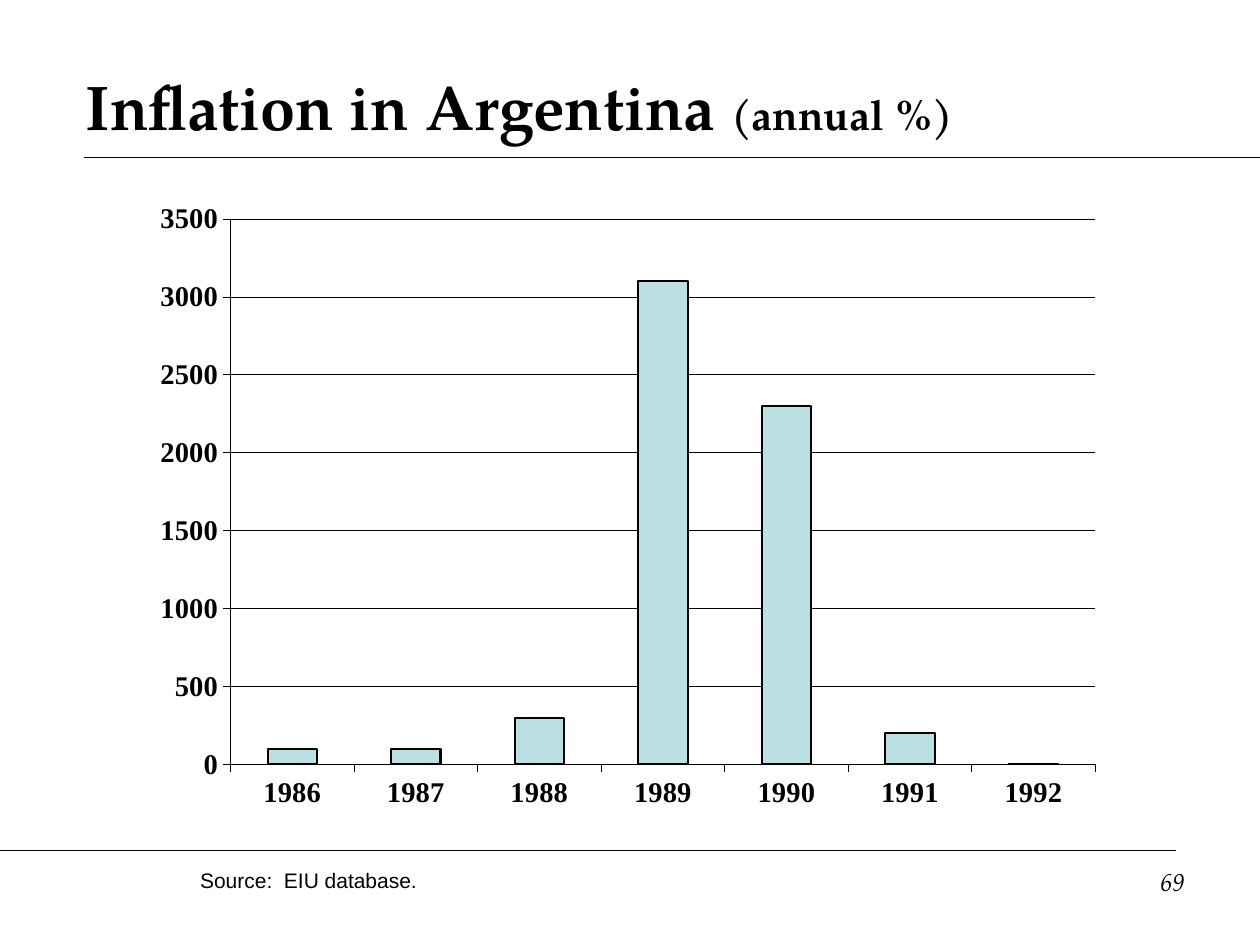
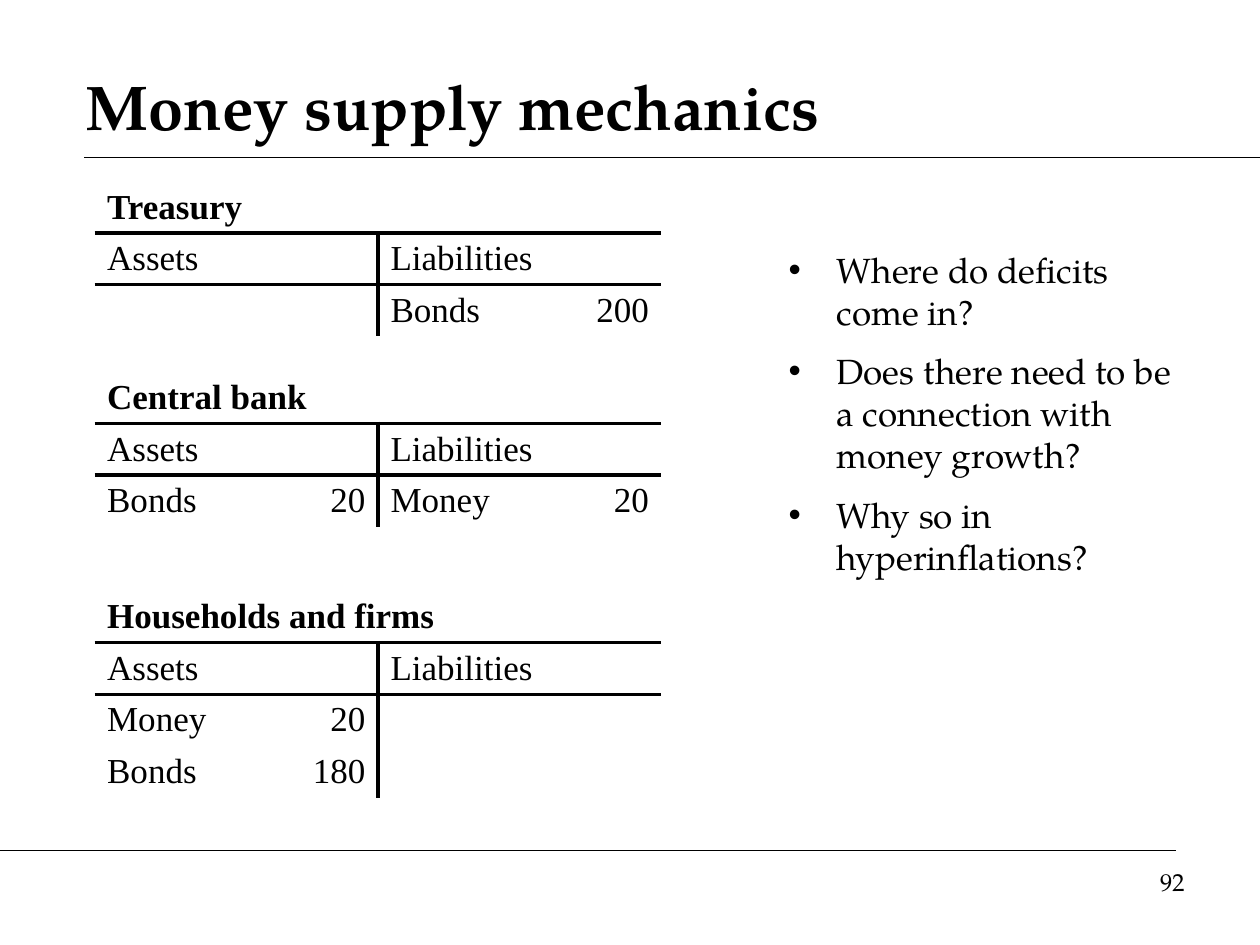
from lxml import etree
from pptx import Presentation
from pptx.chart.data import CategoryChartData
from pptx.dml.color import RGBColor
from pptx.enum import chart as charts, shapes, text
from pptx.oxml import parse_xml
from pptx.oxml.ns import nsdecls, qn
from pptx.util import Inches, Pt

SERIF = "TeX Gyre Pagella"
TABLE_FONT = "Times New Roman"
BLACK = "000000"
BAR_FILL = "BBE0E3"
NO_TABLE_STYLE = "{2D5ABB26-0587-4C30-8999-92F81FD0307C}"


def style_font(font, size, name, bold=False, italic=False, color=BLACK):
    font.size, font.name, font.bold, font.italic = Pt(size), name, bold, italic
    font.color.rgb = RGBColor.from_string(color)


def add_run(paragraph, words, size, name, bold=False, italic=False):
    run = paragraph.add_run()
    run.text = words
    style_font(run.font, size, name, bold, italic)


presentation = Presentation()
presentation.slide_width, presentation.slide_height = Inches(10), Inches(7.5)
master = presentation.slide_master
title_only, title_and_content = presentation.slide_layouts[5], presentation.slide_layouts[1]

# Titles and page numbers
pages = [
    (title_only, [("Inflation in Argentina ", 36), ("(annual %)", 24)], "69", True),
    (title_and_content, [("Money supply mechanics", 36)], "92", False),
]
slides = []
for layout, title_runs, number, italic in pages:
    slide = presentation.slides.add_slide(layout)
    slides.append(slide)
    title = slide.shapes.title
    title.left, title.top, title.width, title.height = map(Inches, (0.58, 0.42, 8.67, 0.83))
    title.text_frame.vertical_anchor = text.MSO_ANCHOR.MIDDLE
    title.text_frame.auto_size = text.MSO_AUTO_SIZE.NONE
    paragraph = title.text_frame.paragraphs[0]
    paragraph.alignment = text.PP_ALIGN.LEFT
    for words, size in title_runs:
        add_run(paragraph, words, size, SERIF, bold=True)

    number_box = slide.shapes.add_textbox(*map(Inches, (7.17, 6.83, 2.33, 0.52)))
    number_box.text_frame.word_wrap = True
    paragraph = number_box.text_frame.paragraphs[0]
    paragraph.alignment = text.PP_ALIGN.RIGHT
    add_run(paragraph, number, 14, SERIF, italic=italic)
inflation_slide, money_slide = slides

# Rules under the title and above the footer, kept on the master
for rule_id, (start, end, y) in enumerate([(0.67, 10, 1.25), (0, 9.33, 6.75)], 101):
    rule = inflation_slide.shapes.add_connector(
        shapes.MSO_CONNECTOR.STRAIGHT, Inches(start), Inches(y), Inches(end), Inches(y))
    rule.line.color.rgb = RGBColor.from_string(BLACK)
    rule.line.width = Pt(0.75)
    etree.SubElement(rule.element.spPr, qn("a:effectLst"))
    rule.element.xpath(".//p:cNvPr")[0].set("id", str(rule_id))
    master.shapes.element.append(rule.element)

# Inflation chart
chart_data = CategoryChartData()
chart_data.categories = [str(year) for year in range(1986, 1993)]
chart_data.add_series("Inflation", [100, 100, 300, 3100, 2300, 200, 0])
chart = inflation_slide.shapes.add_chart(
    charts.XL_CHART_TYPE.COLUMN_CLUSTERED,
    *map(Inches, (1.14, 1.55, 7.66, 5.07)), chart_data).chart
chart.has_legend = False
chart.has_title = False
style_font(chart.font, 16.3, TABLE_FONT, bold=True)

value_axis, category_axis = chart.value_axis, chart.category_axis
value_axis.minimum_scale, value_axis.maximum_scale, value_axis.major_unit = 0, 3500, 500
value_axis.has_major_gridlines = True
value_axis.tick_labels.number_format = "0"
value_axis.tick_labels.number_format_is_linked = False
category_axis.tick_label_position = charts.XL_TICK_LABEL_POSITION.LOW
for axis in (value_axis, category_axis):
    axis.major_tick_mark = charts.XL_TICK_MARK.OUTSIDE
for line in (value_axis.format.line, category_axis.format.line,
             value_axis.major_gridlines.format.line):
    line.color.rgb = RGBColor.from_string(BLACK)
    line.width = Pt(0.29)

plot = chart.plots[0]
plot.gap_width = 150
plot.vary_by_categories = False
bars = plot.series[0]
bars.format.fill.solid()
bars.format.fill.fore_color.rgb = RGBColor.from_string(BAR_FILL)
bars.format.line.color.rgb = RGBColor.from_string(BLACK)
bars.format.line.width = Pt(1.17)

plot_area = chart.element.chart.plotArea
for old_layout in plot_area.findall(qn("c:layout")):
    plot_area.remove(old_layout)
plot_area.insert(0, parse_xml(
    f'<c:layout {nsdecls("c")}><c:manualLayout><c:layoutTarget val="inner"/>'
    '<c:xMode val="edge"/><c:yMode val="edge"/><c:x val="0.09"/><c:y val="0.037"/>'
    '<c:w val="0.896"/><c:h val="0.854"/></c:manualLayout></c:layout>'))

source_box = inflation_slide.shapes.add_textbox(*map(Inches, (1.49, 6.84, 6.83, 0.3)))
source_box.text_frame.word_wrap = True
add_run(source_box.text_frame.paragraphs[0], "Source:  EIU database.", 12, "Arial")

# Balance sheets
balance_sheets = [
    (1.44, "Treasury", [("", "", "Bonds", "200")]),
    (2.95, "Central bank", [("Bonds", "20", "Money", "20")]),
    (4.69, "Households and firms", [("Money", "20", "", ""), ("Bonds", "180", "", "")]),
]
row_height = 0.41
border_line = f'<a:solidFill><a:srgbClr val="{BLACK}"/></a:solidFill>'
for top, holder, entries in balance_sheets:
    rows = [(holder, "", "", ""), ("Assets", "", "Liabilities", ""), *entries]
    table = money_slide.shapes.add_table(
        len(rows), 4, Inches(0.75), Inches(top), Inches(4.5),
        Inches(row_height * len(rows))).table
    table.first_row = table.horz_banding = False
    table._tbl.tblPr.find(qn("a:tableStyleId")).text = NO_TABLE_STYLE
    for column, width in zip(table.columns, (1.48, 0.77, 1.12, 1.13)):
        column.width = Inches(width)
    table.cell(0, 0).merge(table.cell(0, 3))
    table.cell(1, 0).merge(table.cell(1, 1))
    table.cell(1, 2).merge(table.cell(1, 3))

    for r, row in enumerate(rows):
        table.rows[r].height = Inches(row_height)
        for c, words in enumerate(row):
            cell = table.cell(r, c)
            cell.fill.background()
            cell.vertical_anchor = text.MSO_ANCHOR.MIDDLE
            cell.margin_top = cell.margin_bottom = Inches(0.03)
            cell.margin_left = cell.margin_right = Inches(0.1)
            paragraph = cell.text_frame.paragraphs[0]
            style_font(paragraph.font, 20, TABLE_FONT)
            if words:
                add_run(paragraph, words, 20, TABLE_FONT, bold=r == 0)
            if c in (1, 3):
                paragraph.alignment = text.PP_ALIGN.RIGHT

            borders = {
                "lnL": r > 0 and c == 2,
                "lnR": r > 0 and c == 1 or r == 1 and c == 0,
                "lnT": r in (1, 2),
                "lnB": r in (0, 1),
            }
            for position, (side, drawn) in enumerate(borders.items()):
                cell._tc.get_or_add_tcPr().insert(position, parse_xml(
                    f'<a:{side} {nsdecls("a")} w="{Pt(2.25)}">'
                    f'{border_line if drawn else "<a:noFill/>"}</a:{side}>'))

# Questions
questions = money_slide.placeholders[1]
questions.left, questions.top, questions.width, questions.height = map(
    Inches, (6.16, 1.92, 3.42, 4.58))
frame = questions.text_frame
frame.auto_size = text.MSO_AUTO_SIZE.NONE
for i, question in enumerate(["Where do deficits come in?",
                              "Does there need to be a connection with money growth?",
                              "Why so in hyperinflations?"]):
    paragraph = frame.add_paragraph() if i else frame.paragraphs[0]
    paragraph.space_before = Pt(10 if i else 0)
    properties = paragraph._p.get_or_add_pPr()
    properties.set("marL", str(Inches(0.38)))
    properties.set("indent", str(-Inches(0.38)))
    etree.SubElement(properties, qn("a:buFont"), typeface="Arial")
    etree.SubElement(properties, qn("a:buChar"), char="•")
    add_run(paragraph, question, 20, SERIF)

presentation.save("out.pptx")
